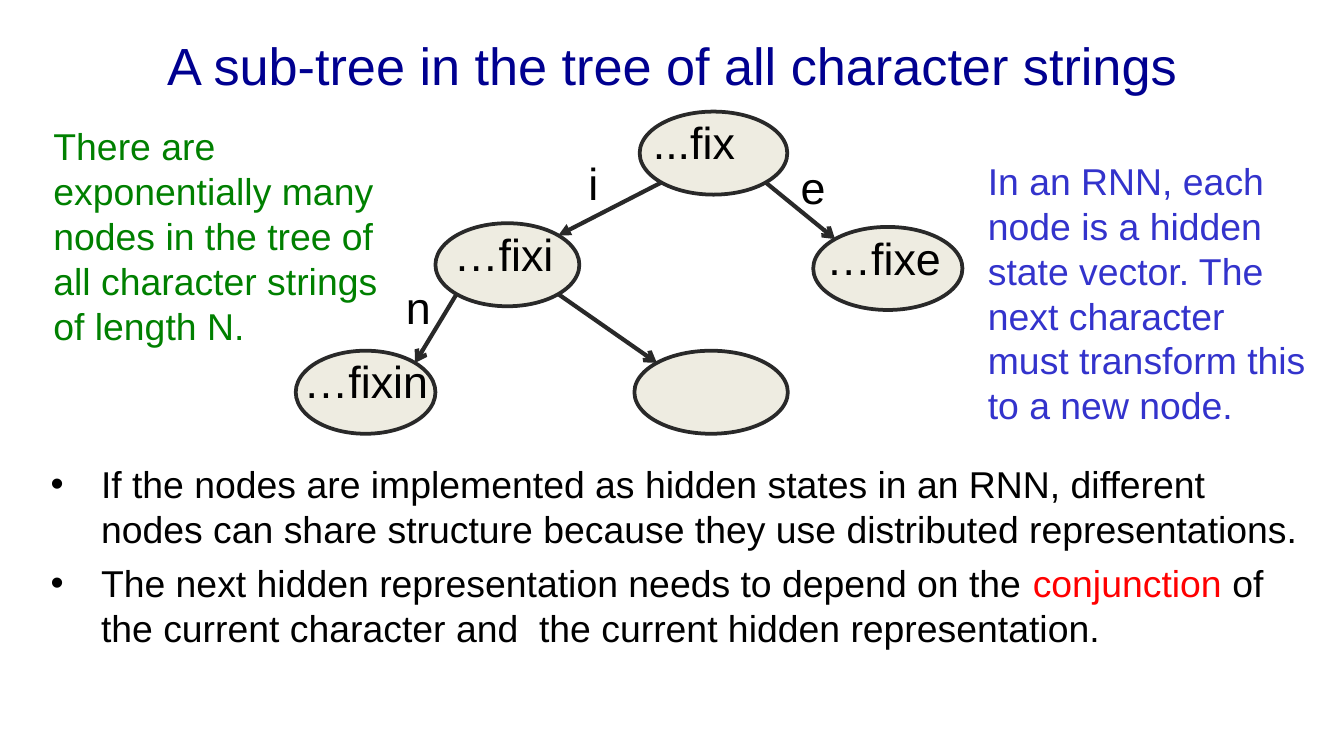
from lxml.etree import SubElement
from pptx import Presentation
from pptx.dml.color import RGBColor
from pptx.enum.shapes import MSO_CONNECTOR as Link, MSO_SHAPE as Shape
from pptx.enum.text import MSO_ANCHOR as Anchor, PP_ALIGN as Align
from pptx.oxml.ns import qn
from pptx.util import Cm, Pt

NAVY = RGBColor(0x00, 0x00, 0x90)
BLACK = RGBColor(0x00, 0x00, 0x00)
RED = RGBColor(0xFF, 0x00, 0x00)
GREEN = RGBColor(0x00, 0x80, 0x00)
BLUE = RGBColor(0x33, 0x33, 0xCC)
CREAM = RGBColor(0xEE, 0xEC, 0xE1)
DARK = RGBColor(0x29, 0x29, 0x29)
HIGH = 1.57  # height of every node, cm
DIAG = 0.5 ** 0.5  # the arrows meet the ellipses at 45 degrees


class Painter:
    font = "Arial"

    def __init__(self, slide):
        self.shapes = slide.shapes

    def style(self, para, size, color):
        para.font.name = self.font
        para.font.size = Pt(size)
        para.font.color.rgb = color

    def frame(self, box):
        frame = self.shapes.add_textbox(*map(Cm, box)).text_frame
        frame.word_wrap = True
        return frame

    def text(self, box, words, size=24, color=BLACK, align=Align.LEFT,
             anchor=Anchor.TOP):
        frame = self.frame(box)
        frame.vertical_anchor = anchor
        para = frame.paragraphs[0]
        para.text = words
        para.alignment = align
        self.style(para, size, color)

    def bullets(self, box, items, size=20, indent=0.95):
        frame = self.frame(box)
        for i, runs in enumerate(items):
            para = frame.add_paragraph() if i else frame.paragraphs[0]
            if i:
                para.space_before = Pt(5)
            props = para._p.get_or_add_pPr()
            props.set("marL", str(Cm(indent)))
            props.set("indent", str(-Cm(indent)))
            SubElement(props, qn("a:buFont"), typeface=self.font)
            SubElement(props, qn("a:buChar"), char="•")
            self.style(para, size, BLACK)
            for words, color in runs:
                run = para.add_run()
                run.text = words
                if color != BLACK:
                    run.font.color.rgb = color

    def node(self, left, top, wide):
        oval = self.shapes.add_shape(
            Shape.OVAL, Cm(left), Cm(top), Cm(wide), Cm(HIGH))
        oval.shadow.inherit = False
        oval.fill.solid()
        oval.fill.fore_color.rgb = CREAM
        oval.line.color.rgb = DARK
        oval.line.width = Pt(2)

    def arrow(self, start, end, head):
        line = self.shapes.add_connector(
            Link.STRAIGHT, *map(Cm, start), *map(Cm, end))
        line.line.color.rgb = DARK
        line.line.width = Pt(2.25)
        SubElement(line.line._get_or_add_ln(), qn("a:tailEnd"), type=head)
        SubElement(line._element.spPr, qn("a:effectLst"))


def rim(node, side, down):
    """Diagonal point of a node: side -1 left, 1 right; down -1 top, 1 bottom."""
    left, top, wide = node
    return (left + wide / 2 * (1 + side * DIAG),
            top + HIGH / 2 * (1 + down * DIAG))


deck = Presentation()
deck.slide_width, deck.slide_height = Cm(25.4), Cm(14.29)
pen = Painter(deck.slides.add_slide(deck.slide_layouts[6]))

# Title
pen.text((1.27, 0.03, 22.86, 2.39),
         "A sub-tree in the tree of all character strings",
         28, NAVY, Align.CENTER, Anchor.MIDDLE)

# Points below the tree
pen.bullets((0.71, 8.59, 24.13, 4.45), [
    [("If the nodes are implemented as hidden states in an RNN, different "
      "nodes can share structure because they use distributed "
      "representations.", BLACK)],
    [("The next hidden representation needs to depend on the ", BLACK),
     ("conjunction ", RED),
     ("of the current character and  the current hidden representation.",
      BLACK)],
])

# Tree nodes: left, top, width
nodes = {
    "...fix": (12.09, 2.11, 2.79),
    "…fixi": (8.23, 4.22, 2.72),
    "": (11.99, 6.63, 2.9),
    "…fixe": (15.37, 4.29, 2.82),
    "…fixin": (5.59, 6.63, 2.64),
}
for spot in nodes.values():
    pen.node(*spot)

# Branches: parent, child, side, arrowhead
for parent, child, side, head in [
    ("...fix", "…fixi", -1, "triangle"),
    ("…fixi", "…fixin", -1, "arrow"),
    ("...fix", "…fixe", 1, "arrow"),
    ("…fixi", "", 1, "arrow"),
]:
    pen.arrow(rim(nodes[parent], side, 1), rim(nodes[child], -side, -1), head)

# Node names: left, width
for name, left, wide in [
    ("...fix", 12.09, 2.97),
    ("…fixi", 8.33, 2.59),
    ("…fixin", 5.49, 2.95),
    ("…fixe", 15.37, 3.23),
]:
    pen.text((left, nodes[name][1] - 0.06, wide, 1.27), name)

# Letters on the branches
for letter, left, top in [("i", 10.87, 2.82), ("e", 14.88, 2.9),
                          ("n", 7.42, 5.16)]:
    pen.text((left, top, 1.09, 1.27), letter)

# Side notes
pen.text((18.42, 2.87, 6.55, 6.2),
         "In an RNN, each node is a hidden state vector. The next character "
         "must transform this to a new node.", 20, BLUE)
pen.text((0.76, 2.21, 7.19, 5.33),
         "There are exponentially many nodes in the tree of all character "
         "strings of length N.", 20, GREEN)

deck.save("out.pptx")
